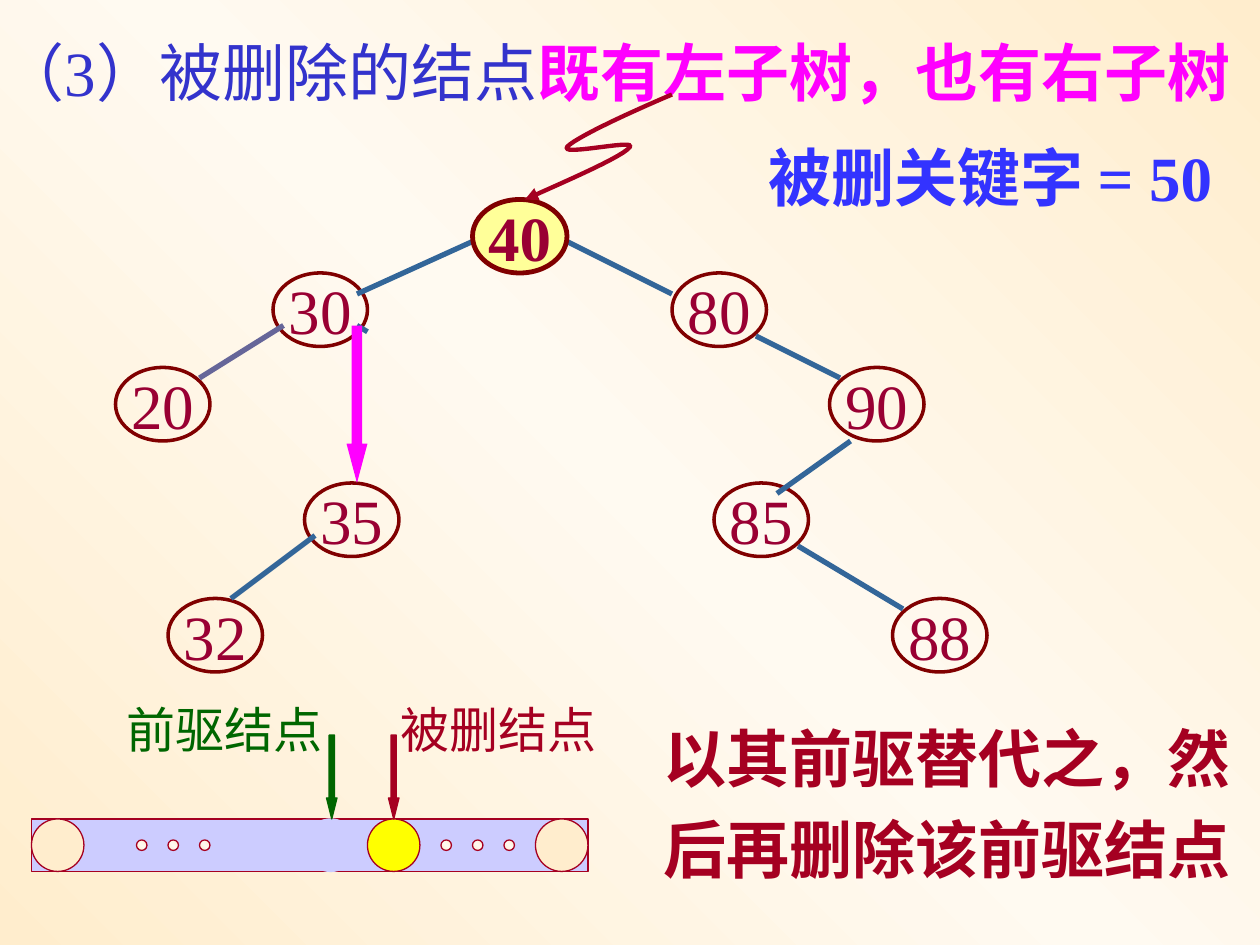
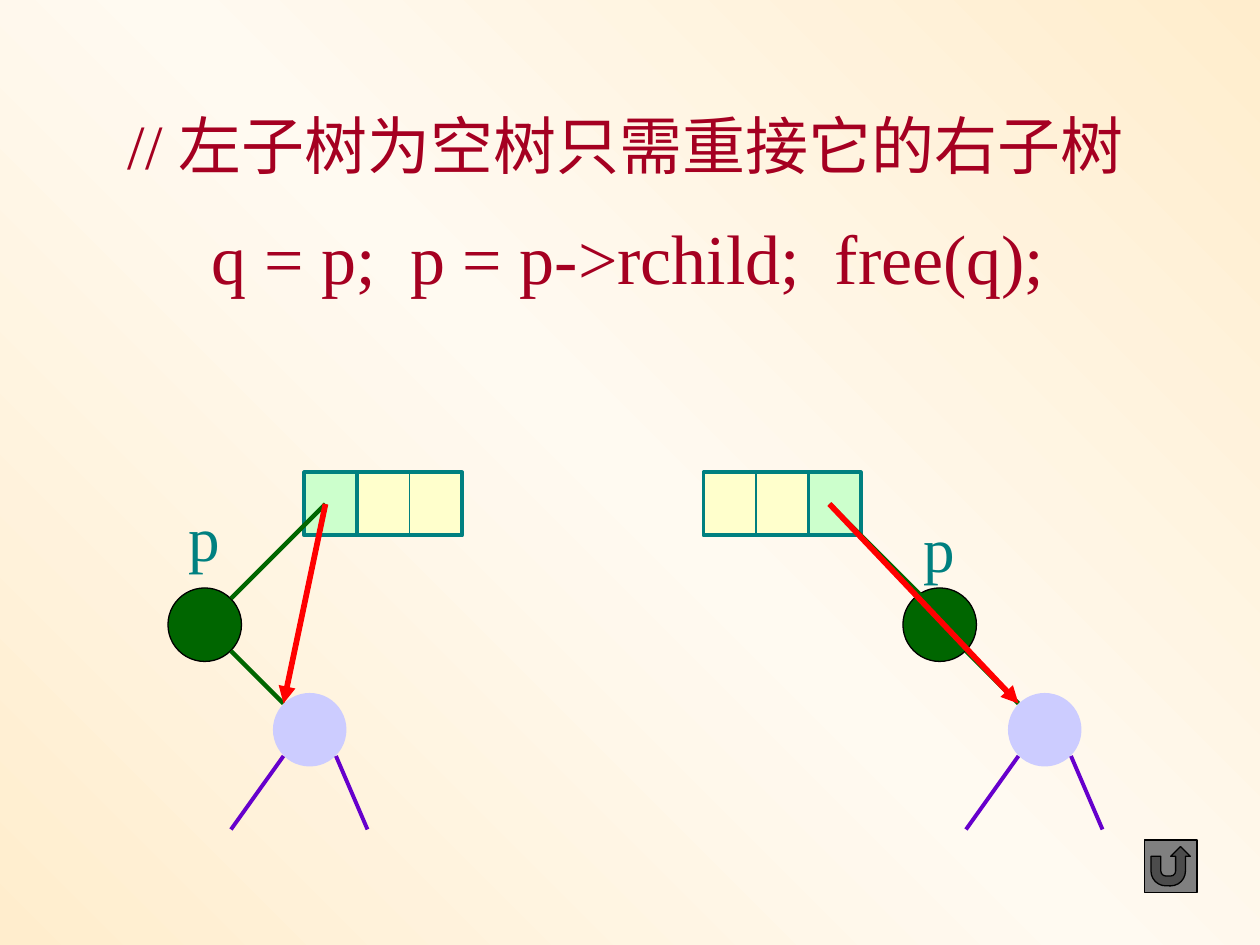
from copy import deepcopy
from dataclasses import dataclass

from lxml import etree
from pptx import Presentation
from pptx.dml.color import RGBColor
from pptx.enum.shapes import MSO_CONNECTOR, MSO_SHAPE
from pptx.enum.text import MSO_ANCHOR, MSO_AUTO_SIZE, PP_ALIGN
from pptx.oxml.ns import qn
from pptx.util import Inches, Pt

STRAIGHT = MSO_CONNECTOR.STRAIGHT
OVAL, RECT = MSO_SHAPE.OVAL, MSO_SHAPE.RECTANGLE
ARROW, BACK = MSO_SHAPE.DOWN_ARROW, MSO_SHAPE.ACTION_BUTTON_RETURN
MIDDLE, CENTER = MSO_ANCHOR.MIDDLE, PP_ALIGN.CENTER
GROW, FIXED = MSO_AUTO_SIZE.SHAPE_TO_FIT_TEXT, MSO_AUTO_SIZE.NONE

COLS, ROWS = 120, 90
UNIT = Inches(10) / COLS


@dataclass(frozen=True)
class Theme:
    """Colours, font and type sizes of the deck."""
    font: str = "Times New Roman"
    small: int = 28
    body: int = 36
    large: int = 40
    sand: str = "FFEDCD"
    cream: str = "FFFAF1"
    red: str = "A50021"
    wine: str = "990033"
    brown: str = "800000"
    steel: str = "336699"
    slate: str = "666699"
    navy: str = "3333CC"
    blue: str = "3333FF"
    pink: str = "FF00FF"
    green: str = "006600"
    teal: str = "008080"
    mint: str = "CCFFCC"
    pale: str = "FFFFCC"
    lemon: str = "FFFF99"
    yellow: str = "FFFF00"
    lilac: str = "CCCCFF"
    purple: str = "6600CC"
    bright: str = "FF0000"
    gray: str = "808080"
    black: str = "000000"


T = Theme()


def rgb(code):
    """Turn a hex code into a colour."""
    return RGBColor.from_string(code)


def grid(*cells):
    """Turn grid units into lengths."""
    return [round(cell * UNIT) for cell in cells]


def blend(fill, node):
    """Give a fill the sand and cream gradient."""
    fill.gradient()
    fill.gradient_angle = 45
    stops = node.find(".//" + qn("a:gsLst"))
    stops.insert(1, deepcopy(stops[0]))
    for stop, place, color in zip(fill.gradient_stops, (0, 0.5, 1), (T.sand, T.cream, T.sand)):
        stop.position = place
        stop.color.rgb = rgb(color)


def write(frame, *runs, size=T.body, bold=False, color=T.red, wrap=False,
          fit=GROW, align=None, anchor=None, space=None):
    """Fill a frame with runs, each a text or a (text, colour, bold) triple."""
    frame.word_wrap = wrap
    frame.auto_size = fit
    if anchor is not None:
        frame.vertical_anchor = anchor
    para = frame.paragraphs[0]
    para.alignment = align
    para.line_spacing = space
    for item in runs:
        text, tint, heavy = (item, color, bold) if isinstance(item, str) else item
        run = para.add_run()
        run.text = text
        run.font.name = T.font
        run.font.size = Pt(size)
        run.font.bold = heavy
        run.font.color.rgb = rgb(tint)


class Pen:
    """Draws styled elements on the current slide."""

    def __init__(self):
        """Open a deck with the shared background."""
        self.deck = Presentation()
        self.deck.slide_width, self.deck.slide_height = grid(COLS, ROWS)
        master = self.deck.slide_master
        blend(master.background.fill, master.element)

    def page(self):
        """Start a blank slide."""
        self.shapes = self.deck.slides.add_slide(self.deck.slide_layouts[6]).shapes

    def stroke(self, shape, color, width, arrow=False):
        """Set the outline of a shape."""
        if color is None:
            shape.line.fill.background()
            return
        shape.line.color.rgb = rgb(color)
        shape.line.width = Pt(width)
        if arrow:
            etree.SubElement(shape.element.find(".//" + qn("a:ln")), qn("a:tailEnd"), type="triangle")

    def shape(self, kind, box, fill=None, line=None, width=0.75, adjust=()):
        """Draw a preset shape."""
        item = self.shapes.add_shape(kind, *grid(*box))
        item.shadow.inherit = False
        if fill is None:
            item.fill.background()
        elif fill == "blend":
            blend(item.fill, item.element)
        else:
            item.fill.solid()
            item.fill.fore_color.rgb = rgb(fill)
        self.stroke(item, line, width)
        for index, value in enumerate(adjust):
            item.adjustments[index] = value
        return item

    def line(self, start, end, color, width, arrow=False):
        """Draw a straight connector."""
        item = self.shapes.add_connector(STRAIGHT, *grid(*start, *end))
        self.stroke(item, color, width, arrow)
        etree.SubElement(item.element.spPr, qn("a:effectLst"))
        return item

    def curve(self, points, color, width):
        """Draw chained cubic curves that end in an arrowhead."""
        steps = 12
        trail = []
        for first in range(0, len(points) - 1, 3):
            a, b, c, d = points[first:first + 4]
            for step in range(1, steps + 1):
                t = step / steps
                u = 1 - t
                trail.append(grid(*(u**3 * p + 3 * u * u * t * q + 3 * u * t * t * r + t**3 * s
                                    for p, q, r, s in zip(a, b, c, d))))
        builder = self.shapes.build_freeform(*grid(*points[0]))
        builder.add_line_segments(trail, close=False)
        item = builder.convert_to_shape()
        item.shadow.inherit = False
        item.fill.background()
        self.stroke(item, color, width, True)

    def text(self, box, *runs, **style):
        """Draw a text box."""
        write(self.shapes.add_textbox(*grid(*box)).text_frame, *runs, **style)

    def node(self, key, left, top, fill=None, width=2, bold=False):
        """Draw a tree node with its key."""
        item = self.shape(OVAL, (left, top, 9, 7), fill, T.brown, width)
        write(item.text_frame, key, color=T.wine, bold=bold, fit=FIXED, align=CENTER, anchor=MIDDLE)


def tree(pen):
    """Draw the search tree."""
    keys = {"30": (26, 26), "80": (64, 26), "20": (11, 35), "90": (79, 35),
            "85": (68, 46), "35": (29, 46), "88": (85, 57), "32": (16, 57)}
    for key, place in keys.items():
        pen.node(key, *place)
    edges = [((45, 23), (34, 28)), ((54, 23), (64, 28)), ((34, 31), (35, 31.6)),
             ((72, 32), (80, 36)), ((81, 42), (74, 47)), ((76, 52), (86, 58)),
             ((30, 51), (22, 57))]
    for start, end in edges:
        pen.line(start, end, T.steel, 3)
    pen.line((27, 31), (19, 36), T.slate, 3)
    pen.node("40", 45, 19, T.lemon, 2.75, True)
    pen.shape(ARROW, (33, 31, 2, 15), T.pink, adjust=(0.5, 1.875))


def order(pen):
    """Draw the bar of nodes in sorted order."""
    pen.shape(RECT, (3, 78, 53, 5), T.lilac, T.red)
    for left, fill, line in ((3, T.sand, T.red), (51, T.sand, T.red),
                             (35, T.yellow, T.red), (29, T.lilac, T.lilac)):
        pen.shape(OVAL, (left, 78, 5, 5), fill, line)
    for first in (13, 42):
        for index in range(3):
            pen.shape(OVAL, (first + 3 * index, 80, 1, 1), "blend", T.red)
    for tip, left, label, color in ((37, 37, "被删结点", T.red), (31.1, 10.9, "前驱结点", T.green)):
        pen.shape(ARROW, (tip, 70, 1, 8), color, color, adjust=(0.5, 2))
        pen.text((left, 66, 21.1, 6.8), label, size=T.small, color=color)


def remove(pen):
    """Build the slide on removing a node with two subtrees."""
    pen.page()
    tree(pen)
    pen.text((-1, 2.6, 122.4, 8.4), ("（3）被删除的结点", T.navy, False),
             ("既有左子树，也有右子树", T.pink, True), wrap=True)
    order(pen)
    pen.text((62, 66.5, 57.2, 18.5), "以其前驱替代之，然后再删除该前驱结点",
             bold=True, wrap=True, space=1.2)
    pen.curve([(64, 9), (59.3, 11), (54.7, 13.2), (54, 14), (53.3, 14.9), (60.7, 13.2),
               (60, 14), (59.3, 14.9), (54.7, 16.9), (50, 19)], T.red, 2.5)
    pen.text((72, 12.6, 46.6, 8.4), "被删关键字 = 50", bold=True, color=T.blue, wrap=True)


def link(pen, hub, cell, pair, root, joint, label):
    """Draw one case of linking a parent to its grandchild."""
    pen.shape(RECT, (cell, 45, 5, 6), T.mint, T.teal, 2.25)
    fields = pen.shape(RECT, (pair, 45, 10, 6), T.pale, T.teal, 2.25)
    split = pen.line((pair + 5, 45), (pair + 5, 51), T.teal, 0.75)
    split.begin_connect(fields, 0)
    split.end_connect(fields, 2)
    pen.shape(OVAL, (hub, 56, 7, 7), T.green, T.black)
    pen.shape(OVAL, (hub + 10, 66, 7, 7), T.lilac)
    pen.line((hub + 11, 72), (hub + 6, 79), T.purple, 2.25)
    pen.line((hub + 16, 72), (hub + 19, 79), T.purple, 2.25)
    pen.line((hub + 6, 62), (hub + 11, 67), T.green, 2.5)
    pen.line((root, 48), (joint, 57), T.green, 2.5)
    pen.line((root, 48), (hub + 11, 67), T.bright, 3.25, True)
    pen.text((hub + 0.8, label, 5.4, 8.4), "p", color=T.teal)


def relink(pen):
    """Build the slide on an empty left subtree."""
    pen.page()
    pen.text((11, 6, 97.2, 12), "// 左子树为空树只需重接它的右子树", wrap=True, space=1.5)
    pen.text((19, 19.8, 81.8, 9.2), "q = p;  p = p->rchild;  free(q);", size=T.large)
    link(pen, hub=16, cell=29, pair=34, root=31, joint=22, label=46.9)
    link(pen, hub=86, cell=77, pair=67, root=79, joint=88, label=47.9)
    pen.shape(BACK, (109, 80, 5, 5), T.gray, T.black)


def main():
    """Build and save the deck."""
    pen = Pen()
    remove(pen)
    relink(pen)
    pen.deck.save("out.pptx")


if __name__ == "__main__":
    main()
